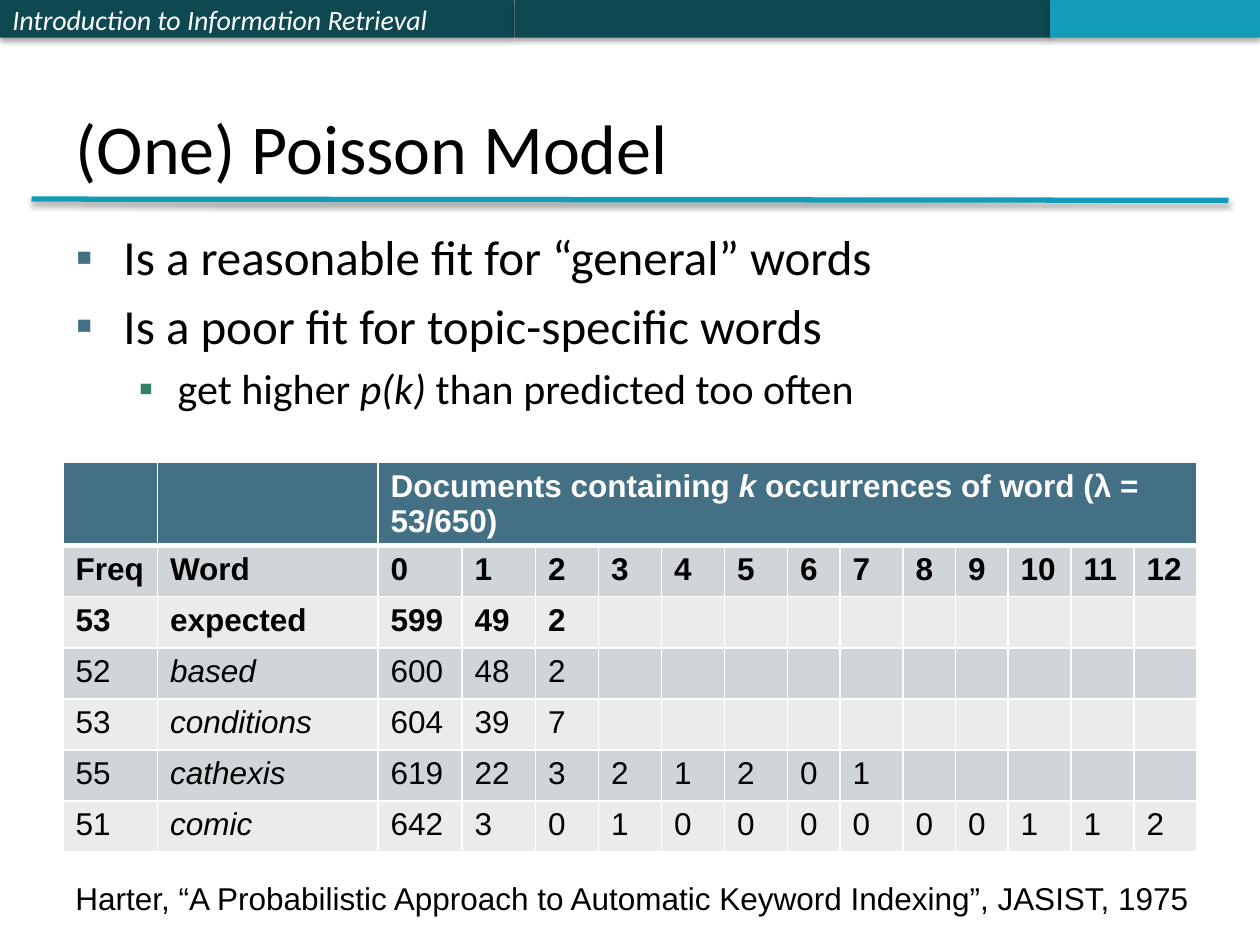
import pptx
import pptx.chart.data
import pptx.dml.color
import pptx.enum.shapes
import pptx.enum.text
import pptx.oxml
import pptx.oxml.ns
import pptx.util

COLORS = {
    "white": "FFFFFF", "black": "000000", "dark teal": "0E4851", "teal": "139CB7",
    "slate": "437085", "green": "357E69", "dark band": "CFD5D9", "light band": "E9EBED",
}
NAMESPACE = pptx.oxml.ns.nsdecls("a")


def write(para, text, size, font, color="black", bold=False):
    """Fill the paragraph; pieces between asterisks become italic."""
    for index, piece in enumerate(text.split("*")):
        if piece:
            span = para.add_run()
            span.text = piece
            span.font.size = pptx.util.Pt(size)
            span.font.name = font
            span.font.bold = bold
            span.font.italic = index % 2 == 1
            span.font.color.rgb = pptx.dml.color.RGBColor.from_string(COLORS[color])


def add_shadow(shape, opacity):
    """Give the shape a soft shadow falling straight down."""
    shape._element.spPr.append(pptx.oxml.parse_xml(
        f'<a:effectLst {NAMESPACE}><a:outerShdw blurRad="39400" dist="22900" dir="5400000" '
        f'rotWithShape="0"><a:srgbClr val="{COLORS["black"]}"><a:alpha val="{opacity * 1000}"/>'
        '</a:srgbClr></a:outerShdw></a:effectLst>'))


deck = pptx.Presentation()
deck.slide_width = pptx.util.Inches(10)
deck.slide_height = pptx.util.Inches(7.5)
column = deck.slide_width // 120
row = deck.slide_height // 150
page = deck.slides.add_slide(deck.slide_layouts[1])

# Header bands
left = 0
for columns, color, label in [
    (49, "dark teal", "*Introduction to Information Retrieval*"),
    (51, "dark teal", ""),
    (20, "teal", ""),
]:
    band = page.shapes.add_shape(
        pptx.enum.shapes.MSO_SHAPE.RECTANGLE, left * column, 0, columns * column, 6 * row)
    band.fill.solid()
    band.fill.fore_color.rgb = pptx.dml.color.RGBColor.from_string(COLORS[color])
    band.line.fill.background()
    add_shadow(band, 35)
    if label:
        band.text_frame.vertical_anchor = pptx.enum.text.MSO_ANCHOR.MIDDLE
        para = band.text_frame.paragraphs[0]
        para.alignment = pptx.enum.text.PP_ALIGN.LEFT
        write(para, label, 16, "Calibri", "white")
    left += columns

# Title and the rule below it
rule = page.shapes.add_connector(
    pptx.enum.shapes.MSO_CONNECTOR.STRAIGHT,
    3 * column, int(31.6 * row), 117 * column, int(31.8 * row))
rule.line.width = pptx.util.Pt(3)
rule.line.color.rgb = pptx.dml.color.RGBColor.from_string(COLORS["teal"])
add_shadow(rule, 38)

title = page.shapes.title
title.left, title.top, title.width, title.height = 6 * column, 6 * row, 108 * column, 25 * row
title.text_frame.vertical_anchor = pptx.enum.text.MSO_ANCHOR.BOTTOM
title.text_frame.auto_size = pptx.enum.text.MSO_AUTO_SIZE.NONE
title.text_frame.paragraphs[0].alignment = pptx.enum.text.PP_ALIGN.LEFT
write(title.text_frame.paragraphs[0], "(One) Poisson Model", 40, "Calibri")

# Bullet list
body = page.placeholders[1]
body.left, body.top, body.width, body.height = 6 * column, 35 * row, 108 * column, 108 * row
body.text_frame.auto_size = pptx.enum.text.MSO_AUTO_SIZE.NONE
level_styles = [(28, 0.38, 0.38, "slate"), (24, 0.81, 0.31, "green")]
points = [
    (0, "Is a reasonable fit for “general” words"),
    (0, "Is a poor fit for topic-specific words"),
    (1, "get higher *p(k) *than predicted too often"),
]
for index, (level, text) in enumerate(points):
    size, margin, hanging, bullet_color = level_styles[level]
    para = body.text_frame.add_paragraph() if index else body.text_frame.paragraphs[0]
    para.level = level
    properties = para._p.get_or_add_pPr()
    properties.set("marL", str(pptx.util.Inches(margin)))
    properties.set("indent", str(-pptx.util.Inches(hanging)))
    for bullet in [
        f'<a:buClr {NAMESPACE}><a:srgbClr val="{COLORS[bullet_color]}"/></a:buClr>',
        f'<a:buFont {NAMESPACE} typeface="Arial"/>',
        f'<a:buChar {NAMESPACE} char="▪"/>',
    ]:
        properties.append(pptx.oxml.parse_xml(bullet))
    para.space_before = pptx.util.Pt(size * 0.2 if index else 0)
    write(para, text, size, "Calibri")

# Word frequency table
rows = [
    ["", "", "Documents containing *k* occurrences of word (λ = 53/650)"],
    ["Freq", "Word", *map(str, range(13))],
    ["53", "expected", "599", "49", "2"],
    ["52", "*based*", "600", "48", "2"],
    ["53", "*conditions*", "604", "39", "7"],
    ["55", "*cathexis*", *"619 22 3 2 1 2 0 1".split()],
    ["51", "*comic*", *"642 3 0 1 0 0 0 0 0 0 1 1 2".split()],
]
column_spans = [9, 21, 8, 7, 6, 6, 6, 6, 5, 6, 5, 5, 6, 6, 6]
table = page.shapes.add_table(
    len(rows), len(column_spans), 6 * column, int(73.4 * row),
    sum(column_spans) * column, int(56.8 * row)).table
for table_column, span_count in zip(table.columns, column_spans):
    table_column.width = span_count * column
table.cell(0, 2).merge(table.cell(0, len(column_spans) - 1))
for row_index, texts in enumerate(rows):
    is_header = row_index == 0
    band_color = "slate" if is_header else ("light band", "dark band")[row_index % 2]
    for column_index in range(len(column_spans)):
        cell = table.cell(row_index, column_index)
        for side in "LRTB":
            thick = (is_header and side == "B") or (row_index == 1 and side == "T")
            cell._tc.get_or_add_tcPr().append(pptx.oxml.parse_xml(
                f'<a:ln{side} {NAMESPACE} w="{pptx.util.Pt(3 if thick else 1)}"><a:solidFill>'
                f'<a:srgbClr val="{COLORS["white"]}"/></a:solidFill></a:ln{side}>'))
        cell.fill.solid()
        cell.fill.fore_color.rgb = pptx.dml.color.RGBColor.from_string(COLORS[band_color])
        if column_index < len(texts):
            write(cell.text_frame.paragraphs[0], texts[column_index], 18, "Arial",
                  "white" if is_header else "black", bold=row_index < 3)

# Citation
citation = page.shapes.add_textbox(6 * column, int(138.6 * row), int(109.5 * column), 8 * row)
citation.text_frame.word_wrap = False
citation.text_frame.auto_size = pptx.enum.text.MSO_AUTO_SIZE.SHAPE_TO_FIT_TEXT
write(citation.text_frame.paragraphs[0],
      "Harter, “A Probabilistic Approach to Automatic Keyword Indexing”, JASIST, 1975",
      18, "Arial")

deck.save("out.pptx")
